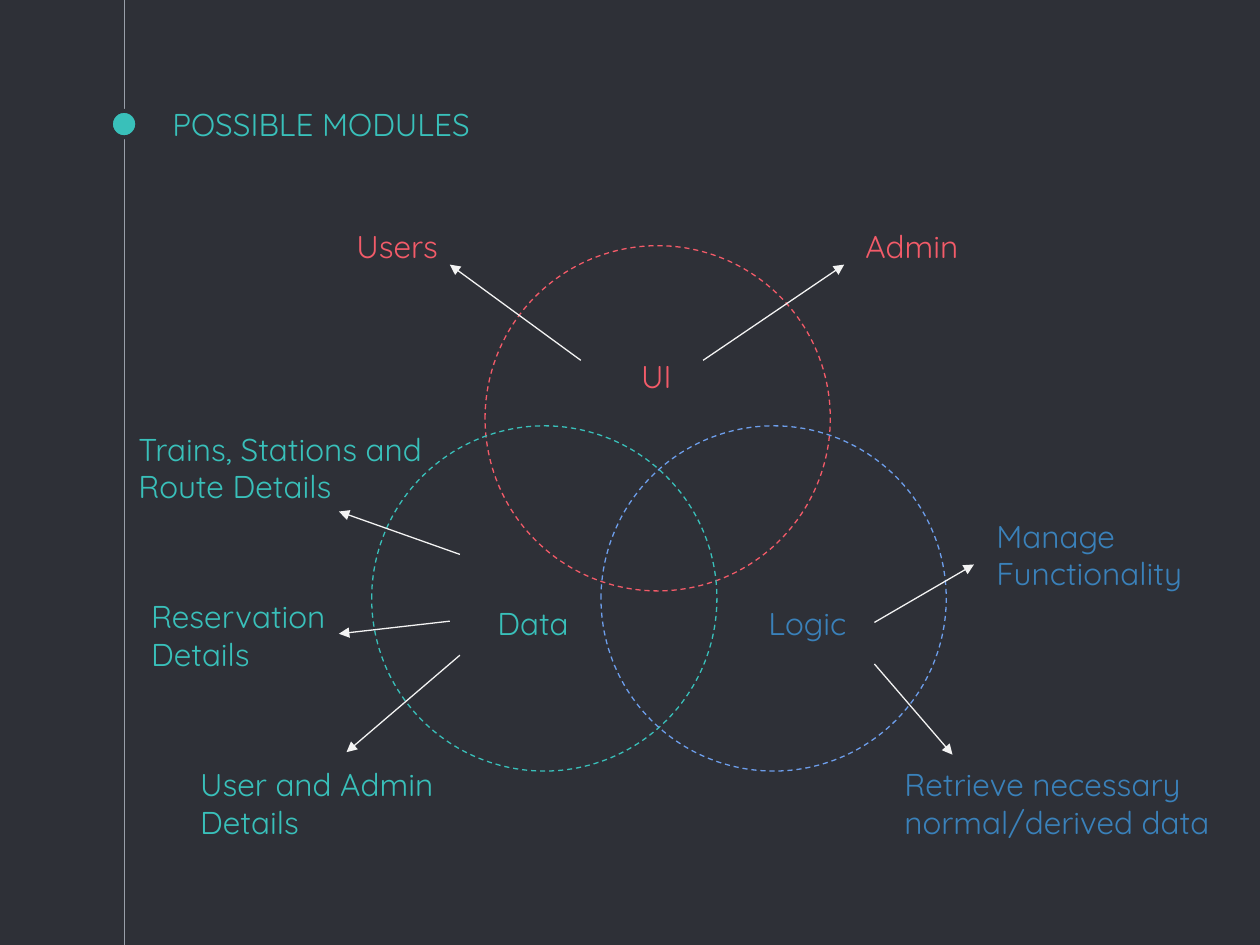
from pptx import Presentation
from pptx.dml.color import RGBColor
from pptx.enum.dml import MSO_LINE
from pptx.enum.shapes import MSO_CONNECTOR, MSO_SHAPE
from pptx.enum.text import MSO_ANCHOR
from pptx.oxml.ns import qn
from pptx.util import Inches, Pt
from lxml.etree import SubElement

DARK, TEAL, RED, BLUE = "2E3037", "39C0BA", "F35B69", "3A81BA"
SKY, PALE, GREY = "6D9EEB", "F3F3F3", "999FA9"
SIZE = 2.74

RINGS = [(3.85, 1.95, RED), (2.95, 3.38, TEAL), (4.77, 3.38, SKY)]
LABELS = [
    ("UI", 4.99, 2.73, 0.46, 0.5, RED),
    ("Users", 2.73, 1.7, 0.94, 0.5, RED),
    ("Admin", 6.77, 1.7, 1.04, 0.5, RED),
    ("Data", 3.85, 4.69, 0.94, 0.5, TEAL),
    ("Trains, Stations and Route Details", 1, 3.31, 2.46, 0.78, TEAL),
    ("Reservation Details", 1.1, 4.64, 1.59, 0.78, TEAL),
    ("User and Admin Details", 1.49, 5.97, 2.16, 0.78, TEAL),
    ("Logic", 6, 4.69, 0.94, 0.5, BLUE),
    ("Manage Functionality", 7.81, 4, 1.9, 1.48, BLUE),
    ("Retrieve necessary normal/derived data", 7.08, 5.97, 2.74, 0.78, BLUE),
]
ARROWS = [
    (5.58, 2.86, 6.7, 2.1),
    (4.61, 2.86, 3.57, 2.1),
    (3.65, 4.4, 2.69, 4.06),
    (3.57, 4.93, 2.69, 5.03),
    (3.65, 5.2, 2.75, 5.97),
    (6.94, 4.94, 7.73, 4.48),
    (6.94, 5.27, 7.56, 5.99),
]


def tint(code):
    return RGBColor.from_string(code)


def write(text, x, y, w, h, color=TEAL, anchor=MSO_ANCHOR.TOP):
    frame = slide.shapes.add_textbox(*map(Inches, (x, y, w, h))).text_frame
    frame.word_wrap = True
    frame.vertical_anchor = anchor
    frame.margin_left = frame.margin_right = Inches(0.1)
    frame.margin_top = frame.margin_bottom = Inches(0.1)
    run = frame.paragraphs[0].add_run()
    run.text = text
    run.font.name = "Quicksand"
    run.font.size = Pt(18)
    run.font.color.rgb = tint(color)


def disc(x, y, size, line, width=0.75, fill=None):
    shape = slide.shapes.add_shape(
        MSO_SHAPE.OVAL, *map(Inches, (x, y, size, size)))
    shape.shadow.inherit = False
    shape.line.color.rgb = tint(line)
    shape.line.width = Pt(width)
    if fill:
        shape.fill.solid()
        shape.fill.fore_color.rgb = tint(fill)
    else:
        shape.fill.background()
        shape.line.dash_style = MSO_LINE.DASH


def link(ends, color, head=False):
    line = slide.shapes.add_connector(
        MSO_CONNECTOR.STRAIGHT, *map(Inches, ends))
    line.line.color.rgb = tint(color)
    line.line.width = Pt(0.75)
    props = line._element.spPr
    if head:
        SubElement(props.find(qn("a:ln")), qn("a:tailEnd"), type="triangle")
    SubElement(props, qn("a:effectLst"))


deck = Presentation()
deck.slide_width, deck.slide_height = Inches(10), Inches(7.5)
slide = deck.slides.add_slide(deck.slide_layouts[6])
slide.background.fill.solid()
slide.background.fill.fore_color.rgb = tint(DARK)

link((0.99, 0, 0.99, 7.5), GREY)
disc(0.88, 0.88, 0.21, DARK, width=2.25, fill=TEAL)
write("POSSIBLE MODULES", 1.27, 0.73, 7.5, 0.5, anchor=MSO_ANCHOR.BOTTOM)
for x, y, color in RINGS:
    disc(x, y, SIZE, color)
for ends in ARROWS:
    link(ends, PALE, head=True)
for text, x, y, w, h, color in LABELS:
    write(text, x, y, w, h, color=color)

deck.save("out.pptx")
